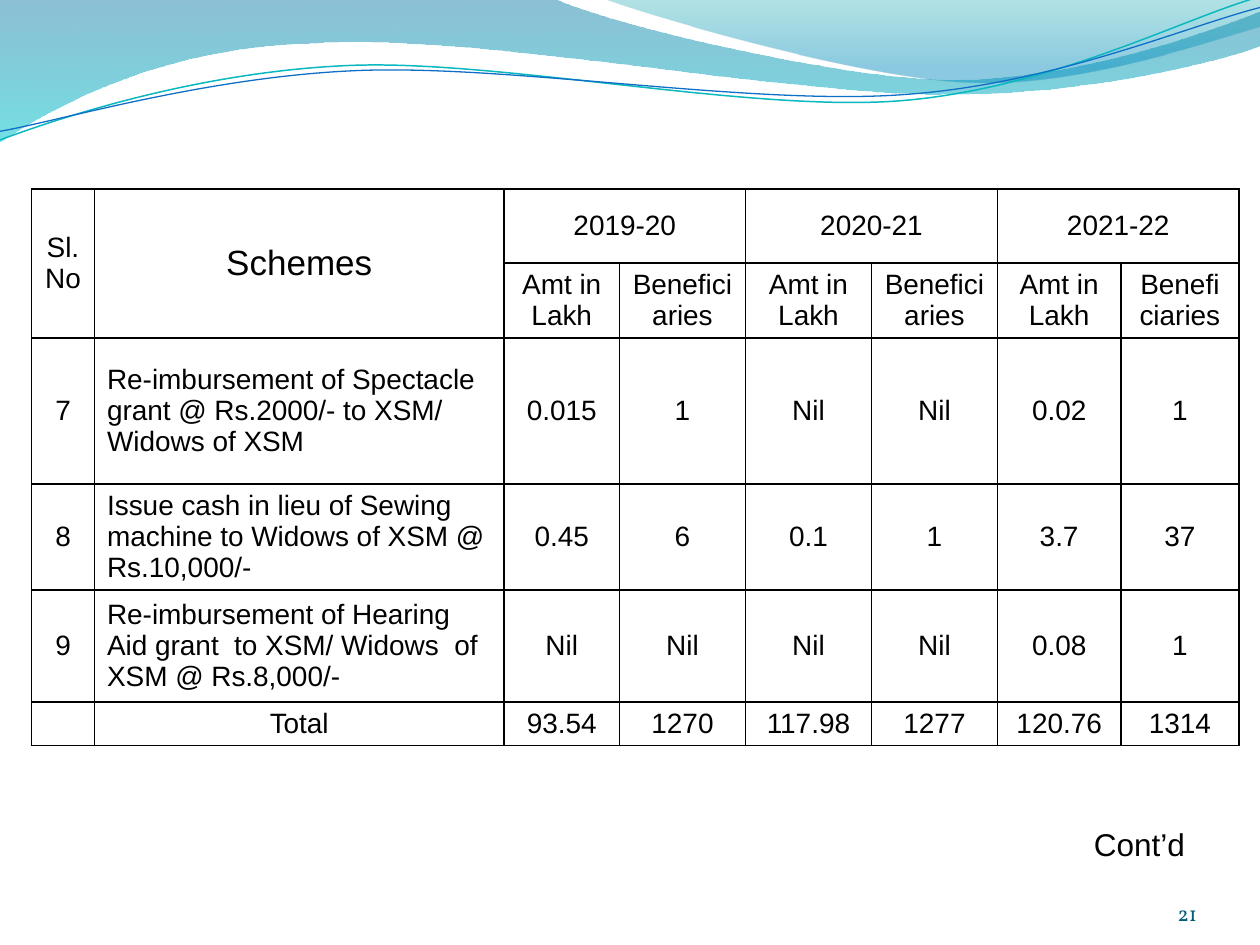
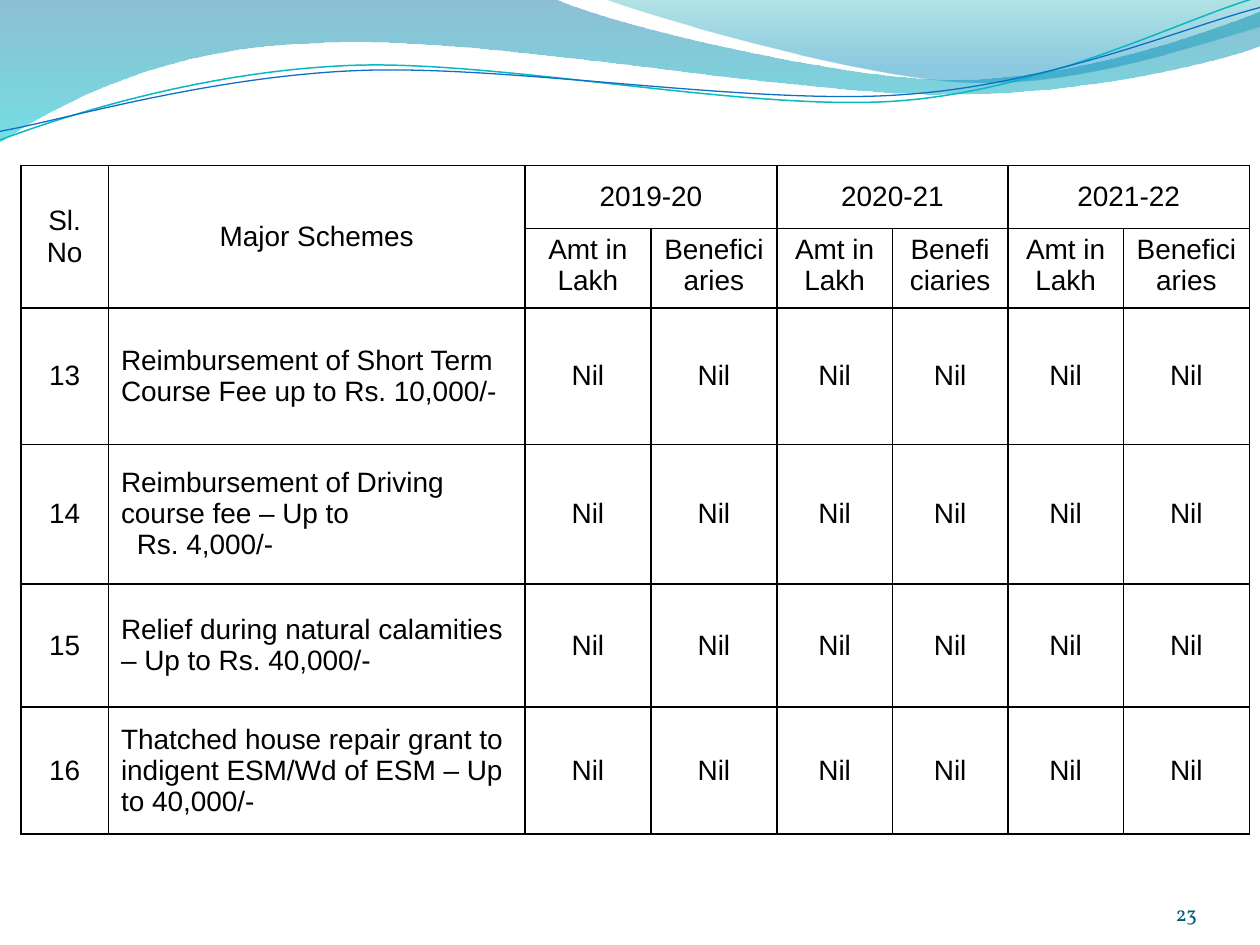
import dataclasses

import lxml.etree
import pptx
import pptx.dml.color
import pptx.enum.text
import pptx.oxml.ns
import pptx.util

Pt = pptx.util.Pt
RGB = pptx.dml.color.RGBColor.from_string
ALIGN = pptx.enum.text.PP_ALIGN
ANCHOR = pptx.enum.text.MSO_ANCHOR
qn = pptx.oxml.ns.qn


@dataclasses.dataclass(frozen=True)
class Theme:
    font: str = "Arial"
    number_font: str = "Vollkorn"
    text: str = "000000"
    number: str = "045D75"
    teal_line: str = "0AB8BF"
    blue_line: str = "0F6FC6"
    # Gradient stops: position, colour, opacity in percent
    band: tuple = ((0, "0074A1", 45), (1, "00C6CF", 55))
    overlay: tuple = ((0, "00A1A9", 30), (0.8, "008BBF", 45))
    table_size: int = 16
    scheme_size: int = 20
    note_size: int = 18
    number_size: int = 12
    border: int = 1


theme = Theme()


def add_wave(slide, start, pieces, closed):
    """Draw lines (x, y) and cubic curves (x1, y1, x2, y2, x, y) from start."""
    builder = slide.shapes.build_freeform(Pt(start[0]), Pt(start[1]), scale=1.0)
    builder.add_line_segments([(Pt(piece[-2]), Pt(piece[-1])) for piece in pieces], close=closed)
    shape = builder.convert_to_shape()
    shape.shadow.inherit = False
    for line, piece in zip(list(shape.element.iter(qn("a:lnTo"))), pieces):
        if len(piece) == 6:
            curve = lxml.etree.Element(qn("a:cubicBezTo"))
            for x, y in zip(piece[::2], piece[1::2]):
                lxml.etree.SubElement(curve, qn("a:pt"), x=str(Pt(x) - shape.left),
                                      y=str(Pt(y) - shape.top))
            line.getparent().replace(line, curve)
    return shape


def add_run(paragraph, text, size, font=theme.font, color=theme.text):
    run = paragraph.add_run()
    run.text = text
    run.font.size = Pt(size)
    run.font.name = font
    run.font.color.rgb = RGB(color)


filled_waves = [
    (theme.band, (0, 0), [
        (316.8, -0.7),
        (342.7, 12.2, 478.1, 45.4, 545.8, 45.4),
        (614.2, 45.4, 689.8, 18.7, 720, 6.5),
        (720.7, 25.9),
        (707.8, 31.7, 626.4, 54.7, 537.1, 54),
        (447.8, 54, 275, 20.2, 185, 24.5),
        (92.9, 25.9, 33.1, 59.8, -0.7, 81.4),
        (0, 0),
    ]),
    (theme.overlay, (344.9, -0.7), [
        (366.5, 7.9, 491, 44.6, 553.7, 46.8),
        (616.3, 49.7, 691.9, 23, 720, 15.1),
        (720, 0),
        (344.9, -0.7),
    ]),
]
line_tilt = -2.7
line_waves = [
    (theme.teal_line, 0.85, (-1.4, 63), [
        (33.8, 51.7, 114.1, 29.4, 199.8, 29.9),
        (284.8, 30.3, 425.9, 67.3, 512.4, 64.9),
        (599.1, 62.4, 676.5, 25.7, 720.2, 15.5),
    ]),
    (theme.blue_line, 0.75, (-1.1, 58), [
        (32.9, 53.8, 118.3, 32.5, 204.1, 33),
        (290.6, 33.4, 428.9, 63.8, 515.5, 61.4),
        (601.4, 59.6, 678.4, 30.1, 721.4, 21.3),
    ]),
]

years = ["2019-20", "2020-21", "2021-22"]
measures = ["Amt in Lakh", "Beneficiaries"] * len(years)
nil = ["Nil"] * len(measures)
pages = [
    {
        "number": "21",
        "note": "Cont’d",
        "left": 18, "top": 108, "height": 326.9,
        "columns": [36, 234, 66, 72, 72, 72, 70.5, 67.5],
        "rows": [42.3, 31.7, 83.5, 60.5, 64, 24.5],
        "heading": "Schemes", "heading_size": theme.scheme_size,
        "schemes": [
            ["7", "Re-imbursement of Spectacle grant @ Rs.2000/- to XSM/ Widows of XSM",
             "0.015", "1", "Nil", "Nil", "0.02", "1"],
            ["8", "Issue cash in lieu of Sewing machine to Widows of XSM @ Rs.10,000/-",
             "0.45", "6", "0.1", "1", "3.7", "37"],
            ["9", "Re-imbursement of Hearing Aid grant  to XSM/ Widows  of XSM @ Rs.8,000/-",
             "Nil", "Nil", "Nil", "Nil", "0.08", "1"],
            ["", "Total", "93.54", "1270", "117.98", "1277", "120.76", "1314"],
        ],
    },
    {
        "number": "23",
        "note": None,
        "left": 12, "top": 94.5, "height": 381.6,
        "columns": [50, 238, 72, 72, 66, 66, 66, 72],
        "rows": [36, 35.3, 77.8, 79.8, 70.3, 72.6],
        "heading": "Major Schemes", "heading_size": theme.table_size,
        "schemes": [
            ["13", "Reimbursement of Short Term Course Fee up to Rs. 10,000/-", *nil],
            ["14", "Reimbursement of Driving course fee – Up to\nRs. 4,000/-", *nil],
            ["15", "Relief during natural calamities – Up to Rs. 40,000/-", *nil],
            ["16", "Thatched house repair grant to indigent ESM/Wd of ESM – Up to 40,000/-",
             *nil],
        ],
    },
]

presentation = pptx.Presentation()
presentation.slide_width, presentation.slide_height = Pt(720), Pt(540)
layout = presentation.slide_layouts[6]
slides = [presentation.slides.add_slide(layout) for page in pages]

# The waves are built on the first slide, then moved to the slide master
waves = []
for stops, start, pieces in filled_waves:
    wave = add_wave(slides[0], start, pieces, closed=True)
    wave.line.fill.background()
    wave.fill.gradient()
    wave.fill.gradient_angle = 270
    for stop, (position, color, opacity) in zip(wave.fill.gradient_stops, stops):
        stop.position = position
        stop.color.rgb = RGB(color)
    for color_element, (_, _, opacity) in zip(wave.element.iter(qn("a:srgbClr")), stops):
        lxml.etree.SubElement(color_element, qn("a:alpha"), val=str(opacity * 1000))
    waves.append(wave)
for color, width, start, pieces in line_waves:
    wave = add_wave(slides[0], start, pieces, closed=False)
    wave.rotation = line_tilt
    wave.fill.background()
    wave.line.color.rgb = RGB(color)
    wave.line.width = Pt(width)
    waves.append(wave)
for shape_id, wave in enumerate(waves, start=20):
    wave.element.nvSpPr.cNvPr.set("id", str(shape_id))
    presentation.slide_master.shapes.element.append(wave.element)

for slide, page in zip(slides, pages):
    columns, rows = page["columns"], page["rows"]
    frame = slide.shapes.add_table(
        len(rows), len(columns), Pt(page["left"]), Pt(page["top"]),
        Pt(sum(columns)), Pt(page["height"]))
    table = frame.table
    table.first_row = table.horz_banding = False
    for column, width in zip(table.columns, columns):
        column.width = Pt(width)
    for row, height in zip(table.rows, rows):
        row.height = Pt(height)
    frame.height = Pt(page["height"])

    year_cells = [text for year in years for text in (year, "")]
    content = [["Sl. No", page["heading"], *year_cells], ["", "", *measures], *page["schemes"]]
    for row_index, texts in enumerate(content):
        is_total = texts[1] == "Total"
        for column_index, text in enumerate(texts):
            cell = table.cell(row_index, column_index)
            is_scheme = column_index == 1 and row_index > 1 and not is_total
            is_heading = column_index == 1 and row_index == 0
            cell.vertical_anchor = ANCHOR.TOP if row_index == 1 or is_total else ANCHOR.MIDDLE
            cell.fill.background()
            properties = cell.fill._xPr
            for index, side in enumerate(["a:lnL", "a:lnR", "a:lnT", "a:lnB"]):
                border = lxml.etree.Element(qn(side), w=str(Pt(theme.border)))
                fill = lxml.etree.SubElement(border, qn("a:solidFill"))
                lxml.etree.SubElement(fill, qn("a:srgbClr"), val=theme.text)
                properties.insert(index, border)
            for line_index, line in enumerate(text.split("\n")):
                text_frame = cell.text_frame
                paragraph = text_frame.add_paragraph() if line_index else text_frame.paragraphs[0]
                paragraph.alignment = ALIGN.LEFT if is_scheme else ALIGN.CENTER
                if line_index:
                    paragraph._p.get_or_add_pPr().set("marL", str(Pt(9)))
                if line:
                    add_run(paragraph, line,
                            page["heading_size"] if is_heading else theme.table_size)
                else:
                    end = lxml.etree.SubElement(paragraph._p, qn("a:endParaRPr"),
                                                sz=str(theme.table_size * 100))
                    lxml.etree.SubElement(end, qn("a:latin"), typeface=theme.font)

    for column_index in (0, 1):
        table.cell(0, column_index).merge(table.cell(1, column_index))
    for column_index in range(2, len(columns), 2):
        table.cell(0, column_index).merge(table.cell(0, column_index + 1))

    number_frame = slide.shapes.add_textbox(Pt(624), Pt(500.4), Pt(60), Pt(28.8)).text_frame
    number_frame.word_wrap = True
    number_frame.vertical_anchor = ANCHOR.BOTTOM
    number_frame.margin_left = number_frame.margin_right = 0
    number_frame.margin_top = number_frame.margin_bottom = 0
    number_frame.paragraphs[0].alignment = ALIGN.RIGHT
    add_run(number_frame.paragraphs[0], page["number"], theme.number_size,
            theme.number_font, theme.number)

    if page["note"]:
        note_frame = slide.shapes.add_textbox(Pt(618), Pt(468), Pt(84), Pt(51)).text_frame
        note_frame.word_wrap = True
        add_run(note_frame.paragraphs[0], page["note"], theme.note_size)

presentation.save("out.pptx")
